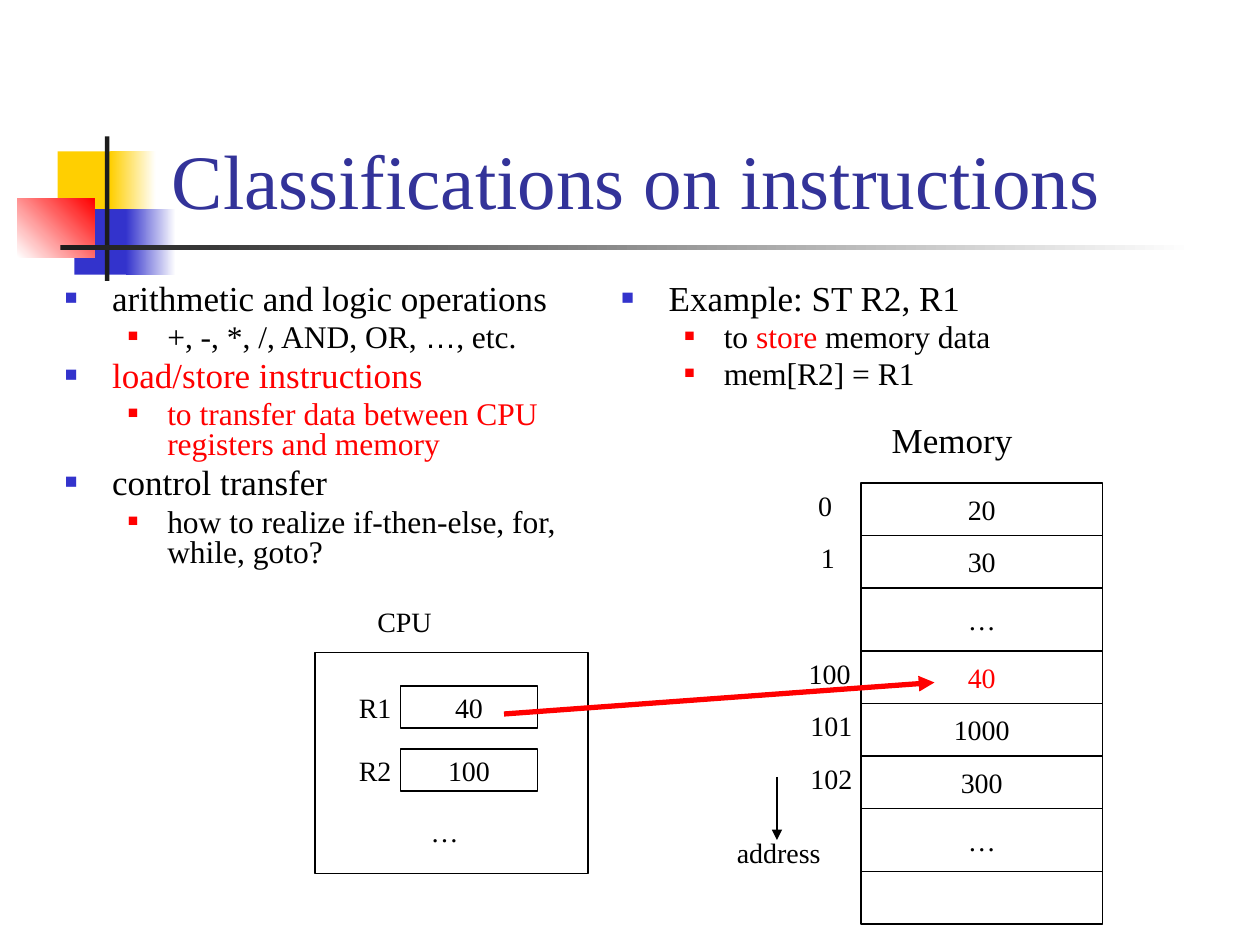
from lxml.etree import SubElement
from pptx import Presentation
from pptx.dml.color import RGBColor
from pptx.enum.shapes import MSO_CONNECTOR as Connector, MSO_SHAPE as Shape
from pptx.enum.text import MSO_ANCHOR as Anchor, MSO_AUTO_SIZE as AutoSize, PP_ALIGN as Align
from pptx.oxml.ns import qn
from pptx.util import Pt

BLACK = RGBColor(0x00, 0x00, 0x00)
WHITE = RGBColor(0xFF, 0xFF, 0xFF)
CHARCOAL = RGBColor(0x1C, 0x1C, 0x1C)
RED = RGBColor(0xFF, 0x00, 0x00)
YELLOW = RGBColor(0xFF, 0xCF, 0x01)
BLUE = RGBColor(0x33, 0x33, 0xCC)
NAVY = RGBColor(0x33, 0x33, 0x99)

LEVELS = [
    {"size": 20, "margin": 27, "hang": 27, "bullet": BLUE, "percent": 60},
    {"size": 18, "margin": 58.5, "hang": 22.5, "bullet": RED, "percent": 55},
]


class SlideBuilder:
    font = "Times New Roman"
    label_size = 16

    def __init__(self, slide):
        self.slide = slide
        self.shapes = slide.shapes

    def start_group(self):
        self.shapes = self.slide.shapes.add_group_shape().shapes

    def end_group(self):
        self.shapes = self.slide.shapes

    def style(self, run, size, color=BLACK, font=None):
        run.font.size = Pt(size)
        run.font.name = font or self.font
        run.font.color.rgb = color

    def rectangle(self, left, top, width, height):
        rectangle = self.shapes.add_shape(
            Shape.RECTANGLE, Pt(left), Pt(top), Pt(width), Pt(height))
        rectangle.shadow.inherit = False
        return rectangle

    def ornament(self, left, top, width, height, start, end=None, angle=0):
        ornament = self.rectangle(left, top, width, height)
        ornament.line.fill.background()
        if end is None:
            ornament.fill.solid()
            ornament.fill.fore_color.rgb = start
            return
        ornament.fill.gradient()
        ornament.fill.gradient_angle = angle
        for stop, color in zip(ornament.fill.gradient_stops, (start, end)):
            stop.color.rgb = color

    def cell(self, left, top, width, height, text="", color=BLACK):
        cell = self.rectangle(left, top, width, height)
        cell.fill.background()
        cell.line.color.rgb = BLACK
        cell.line.width = Pt(0.75)
        if text:
            frame = cell.text_frame
            frame.text = text
            frame.word_wrap = False
            frame.vertical_anchor = Anchor.MIDDLE
            frame.paragraphs[0].alignment = Align.CENTER
            self.style(frame.paragraphs[0].runs[0], self.label_size, color)

    def label(self, left, top, width, text, size=label_size):
        box = self.shapes.add_textbox(Pt(left), Pt(top), Pt(width), Pt(size * 1.2 + 7.2))
        frame = box.text_frame
        frame.text = text
        frame.word_wrap = False
        frame.auto_size = AutoSize.SHAPE_TO_FIT_TEXT
        self.style(frame.paragraphs[0].runs[0], size)

    def arrow(self, start, end, color, width):
        arrow = self.shapes.add_connector(
            Connector.STRAIGHT, *(Pt(length) for length in start + end))
        arrow.line.color.rgb = color
        arrow.line.width = Pt(width)
        SubElement(arrow.line._get_or_add_ln(), qn("a:tailEnd"), type="triangle")
        SubElement(arrow._element.spPr, qn("a:effectLst"))

    def title(self, left, top, width, height, text):
        title = self.slide.shapes.title
        title.left, title.top, title.width, title.height = map(Pt, (left, top, width, height))
        frame = title.text_frame
        frame.text = text
        frame.auto_size = AutoSize.NONE
        frame.vertical_anchor = Anchor.BOTTOM
        frame.paragraphs[0].alignment = Align.LEFT
        self.style(frame.paragraphs[0].runs[0], 44, NAVY)
        self.slide.shapes._spTree.append(title._element)

    def outline(self, left, top, width, height, items):
        box = self.shapes.add_textbox(Pt(left), Pt(top), Pt(width), Pt(height))
        frame = box.text_frame
        frame.word_wrap = True
        for index, (depth, pieces) in enumerate(items):
            paragraph = frame.add_paragraph() if index else frame.paragraphs[0]
            level = LEVELS[depth]
            paragraph.level = depth
            paragraph.line_spacing = 0.8
            paragraph.space_before = Pt(level["size"] * 0.2)
            self.bullet(paragraph, level)
            for text, color, font in pieces:
                run = paragraph.add_run()
                run.text = text
                self.style(run, level["size"], color, font)

    def bullet(self, paragraph, level):
        properties = paragraph._p.get_or_add_pPr()
        properties.set("marL", str(Pt(level["margin"])))
        properties.set("indent", str(-Pt(level["hang"])))
        bullet_color = SubElement(properties, qn("a:buClr"))
        SubElement(bullet_color, qn("a:srgbClr"), val=str(level["bullet"]))
        SubElement(properties, qn("a:buSzPct"), val=str(level["percent"] * 1000))
        SubElement(properties, qn("a:buFont"), typeface="Arial")
        SubElement(properties, qn("a:buChar"), char="■")


def piece(text, color=BLACK, font=None):
    return text, color, font


def main():
    deck = Presentation()
    deck.slide_width, deck.slide_height = Pt(720), Pt(540)
    page = SlideBuilder(deck.slides.add_slide(deck.slide_layouts[5]))

    page.ornament(33, 86.5, 34.5, 37.5, YELLOW)
    page.ornament(63, 86.5, 26, 37.5, YELLOW, WHITE)
    page.ornament(42.5, 119.5, 33, 37.5, BLUE)
    page.ornament(72, 119.5, 28.5, 37.5, BLUE, WHITE)
    page.ornament(10, 113.5, 44, 33.5, WHITE, RED, 45)
    page.ornament(60, 78, 2.5, 82.5, CHARCOAL)
    page.ornament(34.5, 140.2, 648, 2.5, CHARCOAL, WHITE)
    page.title(91, 16.5, 613.5, 115.5, "Classifications on instructions")

    page.outline(30, 159, 312, 177, [
        (0, [piece("arithmetic and logic operations")]),
        (1, [piece("+, -, *, /, AND, OR, "), piece("…", font="Arial"), piece(", etc.")]),
        (0, [piece("load/store instructions", RED)]),
        (1, [piece("to transfer data between CPU registers and memory", RED)]),
        (0, [piece("control transfer")]),
        (1, [piece("how to realize if-then-else, for, while, goto?")]),
    ])
    page.outline(348, 159, 357, 81, [
        (0, [piece("Example: ST R2, R1")]),
        (1, [piece("to "), piece("store", RED), piece(" memory data")]),
        (1, [piece("mem[R2] = R1")]),
    ])

    page.start_group()
    page.cell(180, 373, 156, 126)
    for row, (register, value) in enumerate([("R1", "40"), ("R2", "100")]):
        register_top = 392 + 36 * row
        page.cell(229, register_top, 78, 24, value)
        page.label(198, register_top - 1, 33, register)
    page.label(239, 462, 30, "…")
    page.label(208.5, 342, 45.5, "CPU")

    page.start_group()
    memory = [("20", "0", 460.5), ("30", "1", 462), ("…", "", 0), ("40", "100", 455),
              ("1000", "101", 456), ("300", "102", 456), ("…", "", 0), ("", "", 0)]
    cell_top = 276
    for value, address, address_left in memory:
        cell_height = 36 if value == "…" else 30
        page.cell(492, cell_top, 138, cell_height, value, RED if value == "40" else BLACK)
        if address:
            page.label(address_left, cell_top - 0.5, 14.4 + 8 * len(address), address)
        cell_top += cell_height
    page.arrow((444, 444), (444, 480), BLACK, 0.75)
    page.label(414, 474, 62.5, "address")
    page.label(502.5, 235.5, 83.5, "Memory", 20)
    page.end_group()

    page.arrow((288, 408), (534, 390), RED, 3)
    deck.save("out.pptx")


if __name__ == "__main__":
    main()
